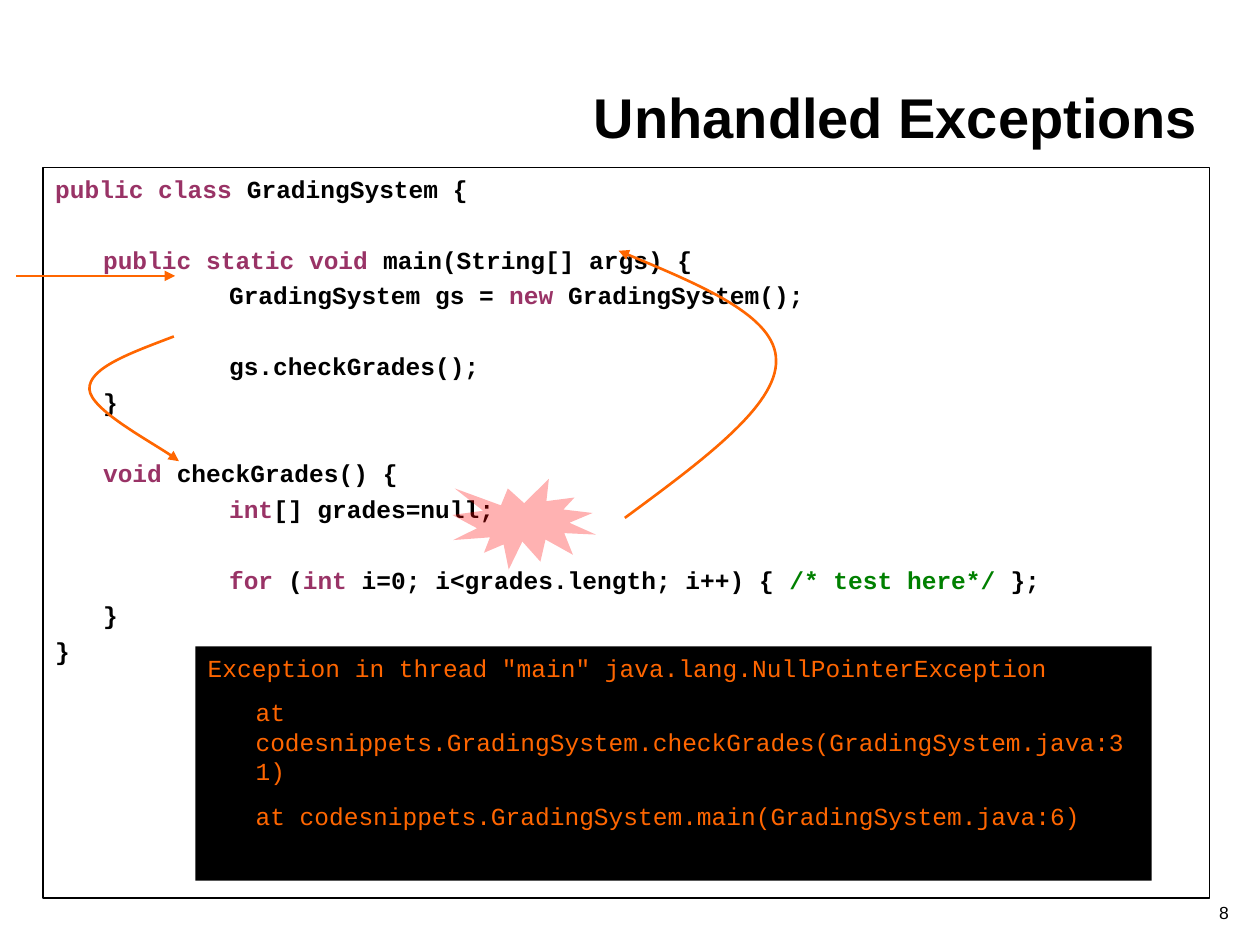
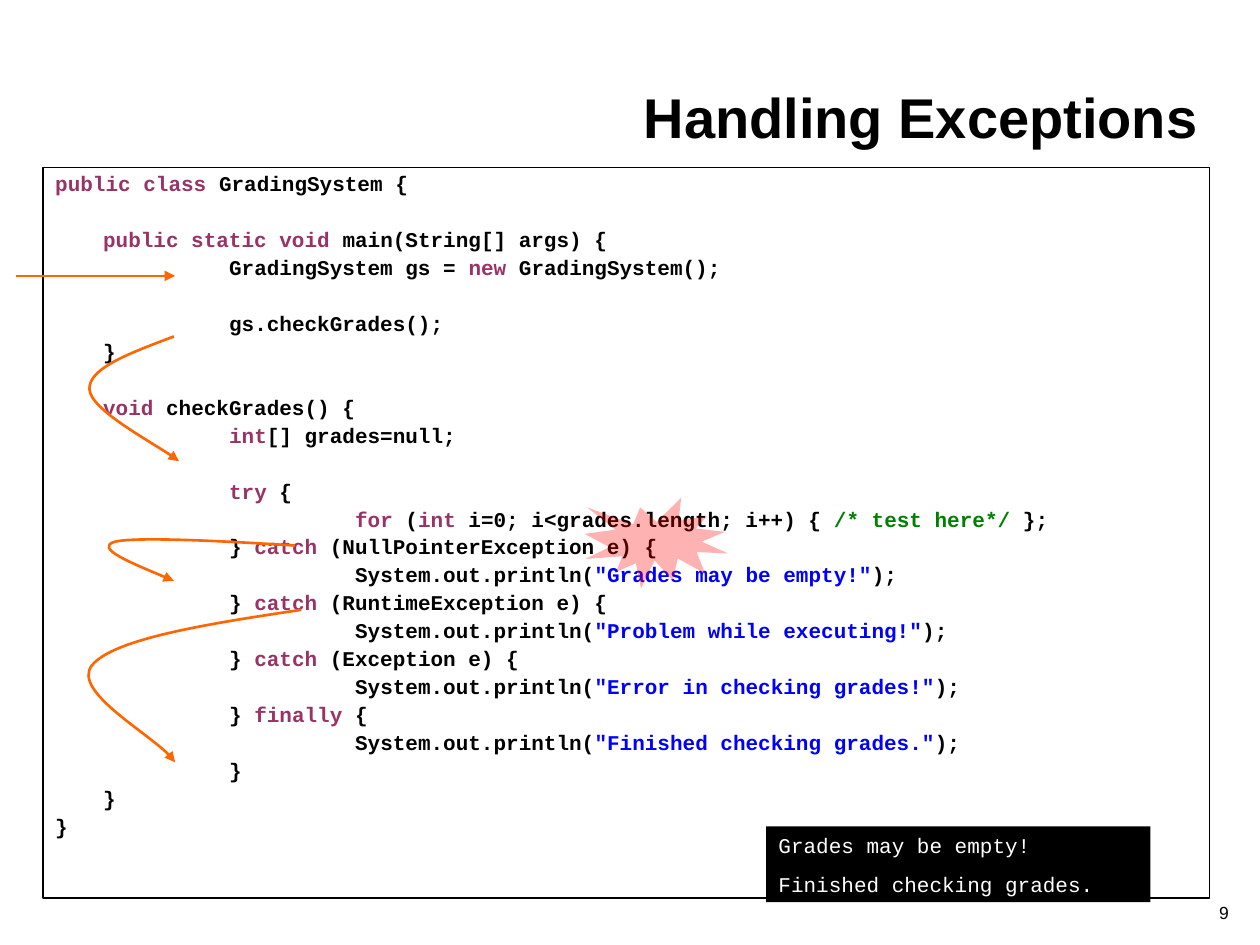
from lxml import etree
from pptx import Presentation
from pptx.dml.color import RGBColor
from pptx.enum import shapes, text
from pptx.oxml import ns
from pptx.util import Inches, Pt

BLACK, WHITE, ORANGE, RED = "000000", "FFFFFF", "FF6600", "FF0000"
KEYWORD, COMMENT, STRING = "993366", "008000", "0000FF"
CODE_FONT, TITLE_FONT = "Courier New", "Arial"
MARK = "§"  # encloses each highlighted piece of code
LINE_HEIGHT = 1.2  # of a line of code, in ems

CLASS_START = [
    "§public class§ GradingSystem {",
    "",
    "\t§public static void§ main(String[] args) {",
    "\t\tGradingSystem gs = §new§ GradingSystem();",
    "",
    "\t\tgs.checkGrades();",
    "\t}",
    "",
    "\t§void§ checkGrades() {",
    "\t\t§int§[] grades=null;",
    "",
]
LOOP = "§for§ (§int§ i=0; i<grades.length; i++) { §/* test here*/§ };"
CLASS_END = ["\t}", "}"]
HANDLERS = [
    ("§catch§ (NullPointerException e)", "Grades may be empty!"),
    ("§catch§ (RuntimeException e)", "Problem while executing!"),
    ("§catch§ (Exception e)", "Error in checking grades!"),
    ("§finally§", "Finished checking grades."),
]
CALL_CURVE = [(1.38, 2.67), (1.04, 2.8), (0.7, 2.92), (0.71, 3.09),
              (0.72, 3.25), (1.3, 3.56), (1.42, 3.66)]
THROW_CURVE = [(4.96, 4.11), (5.57, 3.66), (6.17, 3.22), (6.16, 2.86),
               (6.16, 2.51), (5.53, 2.25), (4.91, 1.99)]
CATCH_CURVE = [(2.34, 4.33), (1.71, 4.29), (1.07, 4.26), (0.91, 4.3),
               (0.75, 4.35), (1.07, 4.48), (1.38, 4.61)]
FINALLY_CURVE = [(2.39, 4.84), (1.65, 4.95), (0.9, 5.07), (0.73, 5.28),
                 (0.57, 5.48), (1.29, 5.88), (1.39, 6.05)]


def rgb(color):
    return RGBColor.from_string(color)


def add_xml(parent, tag, **attributes):
    return etree.SubElement(parent, ns.qn(tag), attributes)


def style_span(span, font, size, color, bold=False):
    span.font.name, span.font.size, span.font.bold = font, Pt(size), bold
    span.font.color.rgb = rgb(color)


def highlight_color(piece):
    return {'"': STRING, "/": COMMENT}.get(piece[0], KEYWORD)


class Lesson:
    """Holds the deck, its style and the current page."""

    def __init__(self):
        self.deck = Presentation()
        self.deck.slide_width, self.deck.slide_height = Inches(10), Inches(7.5)
        self.page = None

    def add_page(self, title, number):
        self.page = self.deck.slides.add_slide(self.deck.slide_layouts[5])
        heading = self.page.shapes.title
        heading.left, heading.top = Inches(0.7), Inches(0.04)
        heading.width, heading.height = Inches(8.91), Inches(1.2)
        self.label(heading, title, 32, bold=True)
        footer = self.page.shapes.add_textbox(
            Inches(8), Inches(7.08), Inches(1.85), Inches(0.29))
        self.label(footer, number, 10)
        footer.text_frame.paragraphs[0].line_spacing = 0.8

    def label(self, box, words, size, bold=False):
        """Write one right-aligned line at the bottom of a box."""
        frame = box.text_frame
        frame.text = words
        frame.word_wrap = True
        frame.vertical_anchor = text.MSO_ANCHOR.BOTTOM
        para = frame.paragraphs[0]
        para.alignment = text.PP_ALIGN.RIGHT
        style_span(para.runs[0], TITLE_FONT, size, BLACK, bold)

    def shape(self, kind, left, top, width, height, fill=None):
        item = self.page.shapes.add_shape(
            kind, Inches(left), Inches(top), Inches(width), Inches(height))
        item.shadow.inherit = False
        item.line.fill.background()
        if fill:
            item.fill.solid()
            item.fill.fore_color.rgb = rgb(fill)
        else:
            item.fill.background()
        return item

    def listing(self, box, lines, size, color, gap, bold=False, spacing=1.0):
        """Write lines of code; an empty line becomes space before the next."""
        frame = box.text_frame
        frame.word_wrap = True
        frame.vertical_anchor = text.MSO_ANCHOR.TOP
        para, before = frame.paragraphs[0], 0
        for line in lines:
            if not line:
                before += gap + size * LINE_HEIGHT * spacing
                continue
            if para.runs:
                para = frame.add_paragraph()
            self.hang(para)
            para.alignment = text.PP_ALIGN.LEFT
            para.line_spacing = spacing
            para.space_before = Pt(before)
            for index, piece in enumerate(line.split(MARK)):
                if piece:
                    span = para.add_run()
                    span.text = piece
                    shade = highlight_color(piece) if index % 2 else color
                    style_span(span, CODE_FONT, size, shade, bold)
            before = gap

    def hang(self, para):
        """Give a paragraph a hanging indent and a tab at each inch."""
        properties = para._p.get_or_add_pPr()
        properties.set("marL", str(Inches(0.38)))
        properties.set("indent", str(-Inches(0.38)))
        properties.set("defTabSz", str(Inches(1)))
        tabs = add_xml(properties, "a:tabLst")
        for inch in range(8):
            add_xml(tabs, "a:tab", pos=str(Inches(inch)), algn="l")

    def code(self, lines, size, gap, spacing=1.0):
        frame = self.shape(shapes.MSO_SHAPE.RECTANGLE, 0.34, 1.33, 9.26, 5.8)
        frame.line.color.rgb = rgb(BLACK)
        frame.line.width = Pt(1)
        self.listing(frame, lines, size, BLACK, gap, True, spacing)

    def console(self, left, top, width, height, lines, size, color, gap):
        box = self.shape(shapes.MSO_SHAPE.RECTANGLE, left, top, width, height, BLACK)
        self.listing(box, lines, size, color, gap)

    def burst(self, left, top):
        seal = self.shape(shapes.MSO_SHAPE.EXPLOSION1, left, top, 1.14, 0.72, RED)
        tint = seal._element.spPr.find(".//" + ns.qn("a:srgbClr"))
        add_xml(tint, "a:alpha", val="30000")

    def arrow_line(self, item):
        item.line.color.rgb = rgb(ORANGE)
        item.line.width = Pt(1.5)
        add_xml(item._element.spPr.find(ns.qn("a:ln")), "a:tailEnd", type="triangle")

    def entry_arrow(self):
        arrow = self.page.shapes.add_connector(
            shapes.MSO_CONNECTOR.STRAIGHT,
            Inches(0.13), Inches(2.19), Inches(1.39), Inches(2.19))
        self.arrow_line(arrow)
        add_xml(arrow._element.spPr, "a:effectLst")

    def curve(self, points):
        """Draw an arrow along Bezier curves: a start, then three points each."""
        start, *rest = [(Inches(x), Inches(y)) for x, y in points]
        builder = self.page.shapes.build_freeform(*start)
        builder.add_line_segments(rest, close=False)
        arrow = builder.convert_to_shape()
        outline = arrow._element.spPr.find(".//" + ns.qn("a:path"))
        segments = outline.findall(ns.qn("a:lnTo"))
        for first in range(0, len(segments), 3):
            bend = add_xml(outline, "a:cubicBezTo")
            for segment in segments[first:first + 3]:
                bend.append(segment[0])
                outline.remove(segment)
        arrow.shadow.inherit = False
        arrow.fill.background()
        self.arrow_line(arrow)


def guarded_loop():
    lines = ["\t\t§try§ {", "\t\t\t" + LOOP]
    for clause, message in HANDLERS:
        lines += [f"\t\t}} {clause} {{",
                  f'\t\t\tSystem.out.println(§"{message}"§);']
    return lines + ["\t\t}"]


def main():
    lesson = Lesson()

    lesson.add_page("Unhandled Exceptions", "8")
    lesson.code(CLASS_START + ["\t\t" + LOOP] + CLASS_END, 14, 3.5)
    lesson.burst(3.59, 3.8)
    lesson.console(1.55, 5.13, 7.59, 1.86, [
        'Exception in thread "main" java.lang.NullPointerException',
        "\tat codesnippets.GradingSystem.checkGrades(GradingSystem.java:31)",
        "\tat codesnippets.GradingSystem.main(GradingSystem.java:6)",
    ], 14, ORANGE, 8.8)
    lesson.entry_arrow()
    for points in (CALL_CURVE, THROW_CURVE):
        lesson.curve(points)

    lesson.add_page("Handling Exceptions", "9")
    lesson.code(CLASS_START + guarded_loop() + CLASS_END, 12, 3, 0.9)
    lesson.burst(4.64, 3.95)
    lesson.console(6.08, 6.56, 3.05, 0.6,
                   ["Grades may be empty!", "Finished checking grades."],
                   12, WHITE, 7.5)
    lesson.entry_arrow()
    for points in (CALL_CURVE, CATCH_CURVE, FINALLY_CURVE):
        lesson.curve(points)

    lesson.deck.save("out.pptx")


if __name__ == "__main__":
    main()
